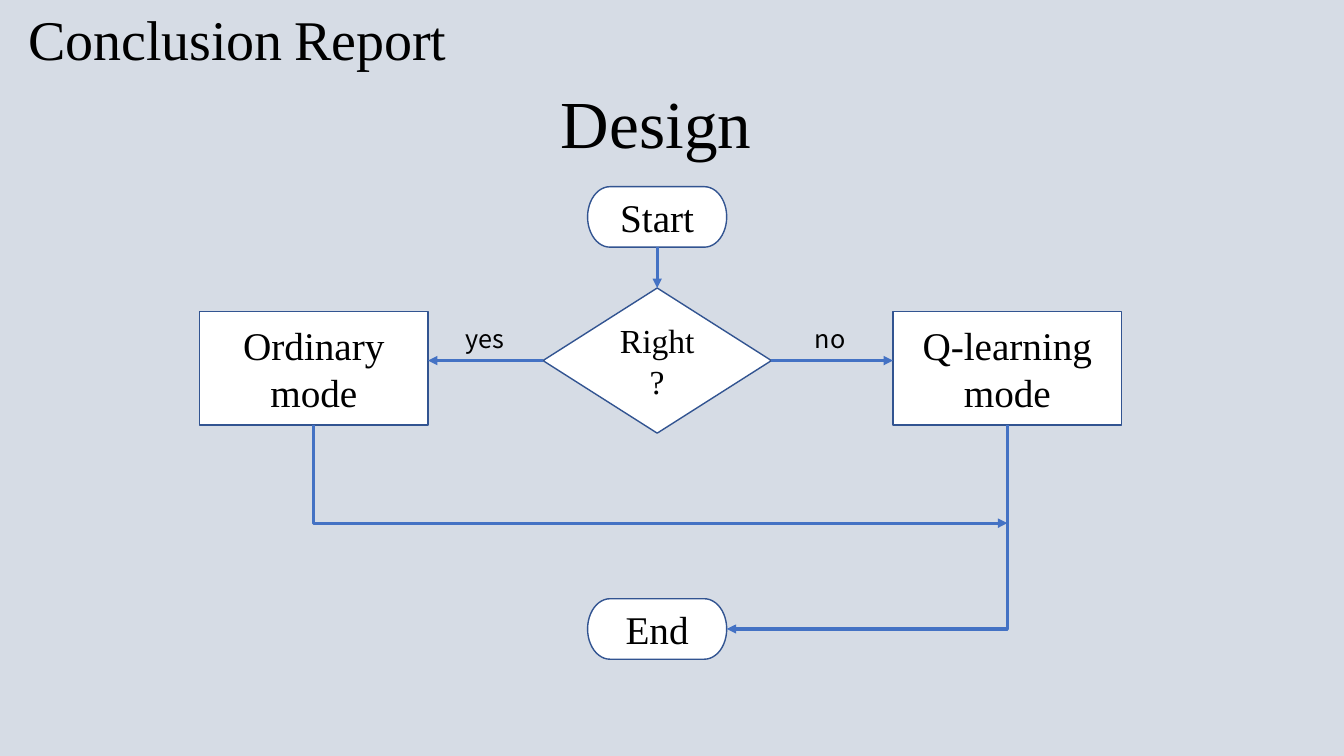
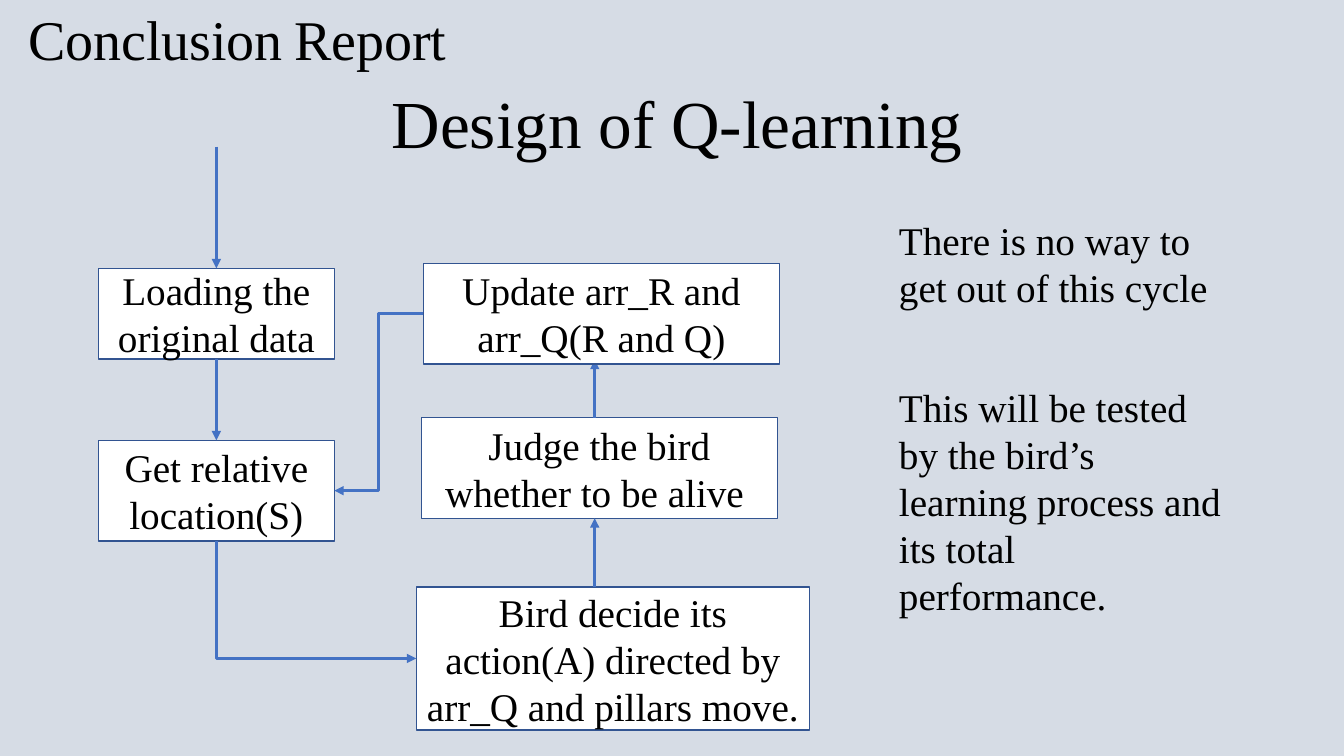
import dataclasses
import typing

import lxml.etree
import pptx
import pptx.dml.color
import pptx.enum.shapes
import pptx.enum.text
import pptx.oxml.ns
import pptx.util

Kind = pptx.enum.shapes.MSO_SHAPE
Wire = pptx.enum.shapes.MSO_CONNECTOR
Align = pptx.enum.text.PP_ALIGN
Point = tuple[float, float]
qn = pptx.oxml.ns.qn


@dataclasses.dataclass(frozen=True)
class Theme:
    back: str = "D6DCE5"
    ink: str = "000000"
    fill: str = "FFFFFF"
    edge: str = "325491"
    wire: str = "4472C4"
    serif: str = "Times New Roman"
    sans: str = "Noto Sans CJK SC"
    head: int = 40
    gap: int = 32
    title: int = 48
    body: int = 28
    small: int = 24
    label: int = 18
    thin: float = 1
    thick: float = 2.25


class Run(typing.NamedTuple):
    text: str
    size: int
    font: str


@dataclasses.dataclass(frozen=True)
class Box:
    """A flowchart node, placed by its centre."""
    text: str
    x: float
    y: float
    wide: float
    high: float
    kind: Kind = Kind.FLOWCHART_PROCESS
    size: int = Theme.body

    @property
    def left(self) -> float:
        return self.x - self.wide / 2

    @property
    def right(self) -> float:
        return self.x + self.wide / 2

    @property
    def top(self) -> float:
        return self.y - self.high / 2

    @property
    def base(self) -> float:
        return self.y + self.high / 2


@dataclasses.dataclass(frozen=True)
class Note:
    """Free text, placed by its top left corner."""
    runs: list[Run]
    left: float
    top: float
    wide: float
    high: float


@dataclasses.dataclass(frozen=True)
class Link:
    """An arrow: straight, one corner (down, then across) or two corners."""
    start: Point
    end: Point
    bends: int = 0


Part = Box | Note | Link
THEME = Theme()
WIDE, HIGH = pptx.util.Inches(13.33), pptx.util.Inches(7.5)


# Lengths are percent of the slide's width and height
def col(share: float) -> int:
    return round(WIDE * share / 100)


def row(share: float) -> int:
    return round(HIGH * share / 100)


def tint(code: str) -> pptx.dml.color.RGBColor:
    return pptx.dml.color.RGBColor.from_string(code)


def write(frame, runs: list[Run], align: Align) -> None:
    frame.word_wrap = True
    para = frame.paragraphs[0]
    para.alignment = align
    for item in runs:
        run = para.add_run()
        run.text = item.text
        run.font.size = pptx.util.Pt(item.size)
        run.font.name = item.font
        run.font.color.rgb = tint(THEME.ink)


def draw_box(slide, box: Box) -> None:
    shape = slide.shapes.add_shape(
        box.kind, col(box.left), row(box.top), col(box.wide), row(box.high))
    shape.shadow.inherit = False
    shape.fill.solid()
    shape.fill.fore_color.rgb = tint(THEME.fill)
    shape.line.color.rgb = tint(THEME.edge)
    shape.line.width = pptx.util.Pt(THEME.thin)
    shape.text_frame.vertical_anchor = pptx.enum.text.MSO_ANCHOR.MIDDLE
    write(shape.text_frame, [Run(box.text, box.size, THEME.serif)], Align.CENTER)


def draw_note(slide, note: Note) -> None:
    shape = slide.shapes.add_textbox(
        col(note.left), row(note.top), col(note.wide), row(note.high))
    write(shape.text_frame, note.runs, Align.LEFT)
    shape.text_frame.auto_size = pptx.enum.text.MSO_AUTO_SIZE.SHAPE_TO_FIT_TEXT


def draw_link(slide, link: Link) -> None:
    (x1, y1), (x2, y2) = ((col(x), row(y)) for x, y in (link.start, link.end))
    right = x2 > x1
    if link.bends == 1:
        # The preset runs across then down, so its frame is turned a quarter
        mid_x, mid_y = (x1 + x2) // 2, (y1 + y2) // 2
        half_x, half_y = abs(y2 - y1) // 2, abs(x2 - x1) // 2
        x1, x2 = mid_x - half_x, mid_x + half_x
        y1, y2 = mid_y - half_y, mid_y + half_y
    kind = Wire.ELBOW if link.bends else Wire.STRAIGHT
    wire = slide.shapes.add_connector(kind, x1, y1, x2, y2)
    wire.line.color.rgb = tint(THEME.wire)
    wire.line.width = pptx.util.Pt(THEME.thick)
    props = wire._element.spPr
    if link.bends == 1:
        props.find(qn("a:prstGeom")).set("prst", "bentConnector2")
        frame = props.find(qn("a:xfrm"))
        frame.set("rot", str((270 if right else 90) * 60000))
        if right:
            frame.set("flipH", "1")
    tip = lxml.etree.SubElement(props.find(qn("a:ln")), qn("a:tailEnd"))
    tip.set("type", "triangle")
    lxml.etree.SubElement(props, qn("a:effectLst"))


def draw(slide, part: Part) -> None:
    match part:
        case Box():
            draw_box(slide, part)
        case Note():
            draw_note(slide, part)
        case Link():
            draw_link(slide, part)


def serif(text: str, size: int = THEME.body) -> list[Run]:
    return [Run(text, size, THEME.serif)]


def label(text: str, left: float, wide: float) -> Note:
    return Note([Run(text, THEME.label, THEME.sans)], left, 42.1, wide, 5.3)


def add_slide(deck, title: str, left: float, wide: float,
              parts: list[Part]) -> None:
    slide = deck.slides.add_slide(deck.slide_layouts[6])
    slide.background.fill.solid()
    slide.background.fill.fore_color.rgb = tint(THEME.back)
    head = (serif("Conclusion", THEME.head) + serif(" ", THEME.gap)
            + serif("Report", THEME.head))
    draw(slide, Note(head, 1.35, -0.1, 43.8, 10.3))
    draw(slide, Note(serif(title, THEME.title), left, 10.1, wide, 12.1))
    for part in parts:
        draw(slide, part)


def mode_parts() -> list[Part]:
    mid = 48.9
    start, end = (Box(text, mid, y, 10.35, 8, Kind.FLOWCHART_TERMINATOR)
                  for text, y in (("Start", 28.7), ("End", 83.2)))
    test = Box("Right ?", mid, 47.7, 17, 19.2,
               Kind.FLOWCHART_DECISION, THEME.small)
    plain, learn = (Box(text, x, 48.7, 17, 15) for text, x in
                    (("Ordinary mode", 23.35), ("Q-learning mode", 74.95)))
    return [
        start, test, plain, learn, end,
        Link((mid, start.base), (mid, test.top)),
        Link((test.left, test.y), (plain.right, test.y)),
        Link((test.right, test.y), (learn.left, test.y)),
        label("yes", 33.9, 6.5),
        label("no", 59.9, 4.1),
        Link((plain.x, plain.base), (learn.x, 69.2), 1),
        Link((learn.x, learn.base), (end.right, end.y), 1),
    ]


def learn_parts() -> list[Part]:
    load = Box("Loading the original data", 16.1, 41.5, 17.55, 12)
    place = Box("Get relative location(S)", load.x, 64.9, load.wide, 13.3)
    act = Box("Bird decide its action(A) directed by arr_Q and pillars move.",
              45.6, 87.1, 29.25, 18.9)
    judge = Box("Judge the bird whether to be alive ", 44.6, 61.9, 26.5, 13.3)
    renew = Box("Update arr_R and arr_Q(R and Q)",
                44.75, load.y, judge.wide, judge.high)
    lane = 44.25
    return [
        load, place, act, judge,
        Link((load.x, 19.4), (load.x, load.top)),
        Link((load.x, load.base), (load.x, place.top)),
        Link((place.x, place.base), (act.left, act.y), 1),
        Link((lane, act.top), (lane, judge.base)),
        Link((lane, judge.top), (lane, 47.6)),
        renew,
        Link((renew.left, renew.y), (place.right, place.y), 2),
        Note(serif("There is no way to get out of this cycle"),
             66.15, 27.9, 25.7, 13.9),
        Note(serif("This will be tested by the bird’s learning process "
                   "and its total performance."), 66.15, 50, 26, 26.5),
    ]


def main() -> None:
    deck = pptx.Presentation()
    deck.slide_width, deck.slide_height = WIDE, HIGH
    add_slide(deck, "Design", 41, 15.75, mode_parts())
    add_slide(deck, "Design of Q-learning", 28.4, 46.2, learn_parts())
    deck.save("out.pptx")


if __name__ == "__main__":
    main()
